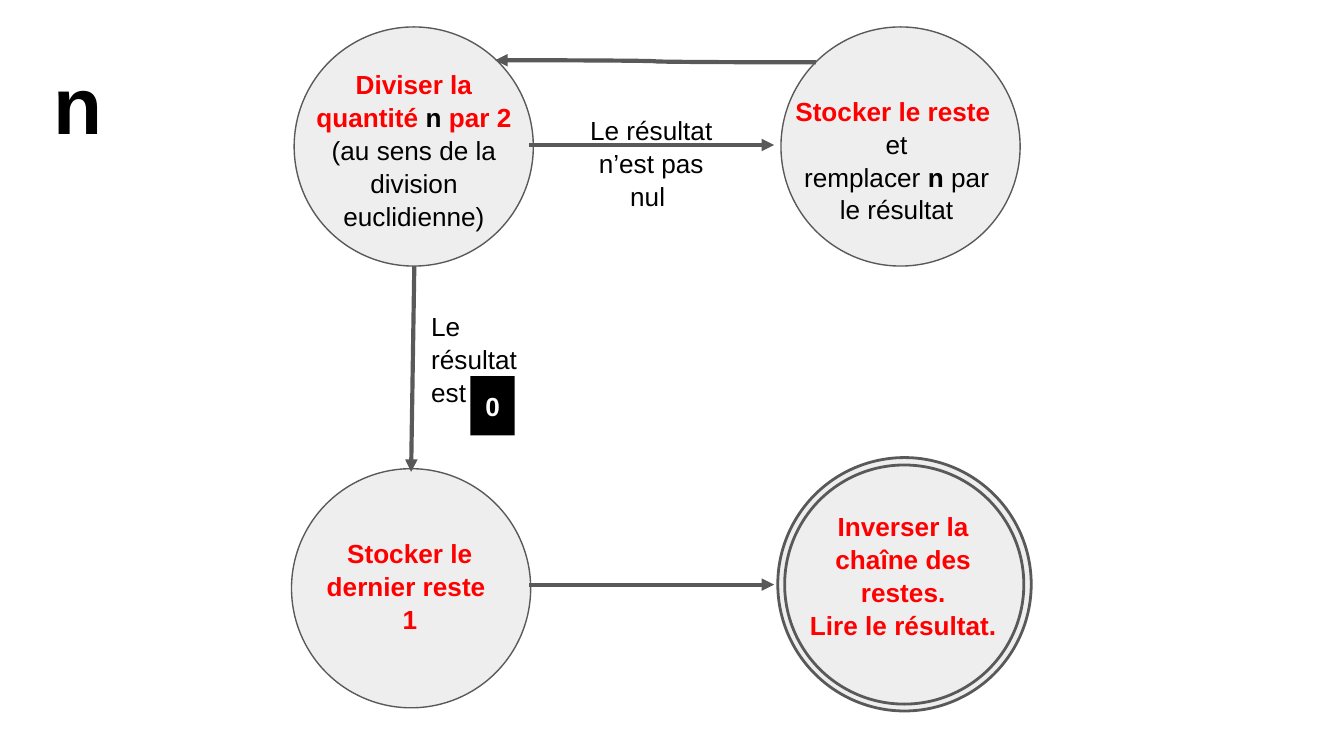
from lxml import etree
from pptx import Presentation
from pptx.dml.color import RGBColor
from pptx.enum.shapes import MSO_CONNECTOR, MSO_SHAPE
from pptx.enum.text import MSO_ANCHOR, PP_ALIGN
from pptx.oxml.ns import qn
from pptx.util import Cm, Pt

STRAIGHT, CURVE = MSO_CONNECTOR.STRAIGHT, MSO_CONNECTOR.CURVE
OVAL, RECTANGLE = MSO_SHAPE.OVAL, MSO_SHAPE.RECTANGLE
LEFT, CENTER = PP_ALIGN.LEFT, PP_ALIGN.CENTER
TOP = MSO_ANCHOR.TOP

COLORS = {"disc": "EEEEEE", "line": "595959", "key": "FF0000",
          "text": "000000", "chip": "000000", "chip_text": "FFFFFF"}
MARGIN = Cm(0.25)
DIAMETER = 4.52


def color(name):
    return RGBColor.from_string(COLORS[name])


def write(frame, paragraphs, align=CENTER, size=14):
    """Fill a frame; each paragraph lists (text, colour, bold), "\\n" breaks a line."""
    frame.word_wrap = True
    frame.vertical_anchor = TOP
    frame.margin_left = frame.margin_right = MARGIN
    frame.margin_top = frame.margin_bottom = MARGIN
    for index, pieces in enumerate(paragraphs):
        paragraph = frame.add_paragraph() if index else frame.paragraphs[0]
        paragraph.alignment = align
        paragraph.line_spacing = 1.05
        for words, tint, bold in pieces:
            if words == "\n":
                paragraph.add_line_break()
                continue
            run = paragraph.add_run()
            run.text = words
            run.font.name = "Arial"
            run.font.size = Pt(size)
            run.font.bold = bold
            run.font.color.rgb = color(tint)


prs = Presentation()
prs.slide_width, prs.slide_height = Cm(25.4), Cm(14.29)
slide = prs.slides.add_slide(prs.slide_layouts[5])
shapes = slide.shapes

title = shapes.title
title.left, title.top, title.width, title.height = Cm(0.76), Cm(0.69), Cm(1.55), Cm(2.36)
write(title.text_frame, [[("n", "text", True)]], LEFT, 43)

# State discs; the final state is a double circle
discs = [
    (5.56, 0.51, DIAMETER, 0.75),
    (14.76, 0.51, DIAMETER, 0.75),
    (5.51, 8.86, DIAMETER, 0.75),
    (14.7, 8.65, 4.79, 1.5),
    (14.83, 8.79, DIAMETER, 1.5),
]
for left, top, diameter, weight in discs:
    disc = shapes.add_shape(OVAL, Cm(left), Cm(top), Cm(diameter), Cm(diameter))
    disc.shadow.inherit = False
    disc.fill.solid()
    disc.fill.fore_color.rgb = color("disc")
    disc.line.color.rgb = color("line")
    disc.line.width = Pt(weight)

# Transitions between states
transitions = [
    (STRAIGHT, 7.83, 5.03, 7.77, 8.92),
    (STRAIGHT, 10, 2.74, 14.63, 2.74),
    (CURVE, 15.42, 1.18, 9.36, 1.14),
    (STRAIGHT, 10, 11.05, 14.63, 11.05),
]
for kind, x1, y1, x2, y2 in transitions:
    arrow = shapes.add_connector(kind, Cm(x1), Cm(y1), Cm(x2), Cm(y2))
    arrow.line.color.rgb = color("line")
    arrow.line.width = Pt(2.25)
    etree.SubElement(arrow.line._get_or_add_ln(), qn("a:tailEnd"), type="triangle")
    etree.SubElement(arrow._element.spPr, qn("a:effectLst"))

# State descriptions and transition conditions
line_break = ("\n", "text", False)
labels = [
    (5.64, 1.02, 4.37, 3.51, CENTER, [
        [("Diviser la quantité ", "key", True), ("n", "text", True),
         (" par 2", "key", True), line_break,
         ("(au sens de la division euclidienne)", "text", False)]]),
    (14.76, 1.52, 4.37, 2.9, CENTER, [
        [("Stocker le reste ", "key", True), line_break, ("et", "text", False)],
        [("remplacer ", "text", False), ("n", "text", True),
         (" par le résultat", "text", False)]]),
    (5.56, 9.88, 4.37, 2.31, CENTER, [
        [("Stocker le dernier reste ", "key", True), line_break, ("1", "key", True)]]),
    (14.76, 9.37, 4.62, 2.9, CENTER, [
        [("Inverser la chaîne des restes.", "key", True)],
        [("Lire le résultat.", "key", True)]]),
    (10.72, 1.88, 3.18, 2.31, CENTER, [[("Le résultat n’est pas nul ", "text", False)]]),
    (7.9, 5.59, 2.57, 2.31, LEFT, [[("Le résultat est", "text", False)]]),
]
for left, top, width, height, align, paragraphs in labels:
    label = shapes.add_textbox(Cm(left), Cm(top), Cm(width), Cm(height))
    write(label.text_frame, paragraphs, align)

zero = shapes.add_shape(RECTANGLE, Cm(8.89), Cm(7.11), Cm(0.84), Cm(1.12))
zero.shadow.inherit = False
zero.fill.solid()
zero.fill.fore_color.rgb = color("chip")
zero.line.fill.background()
write(zero.text_frame, [[("0", "chip_text", True)]])

prs.save("out.pptx")
